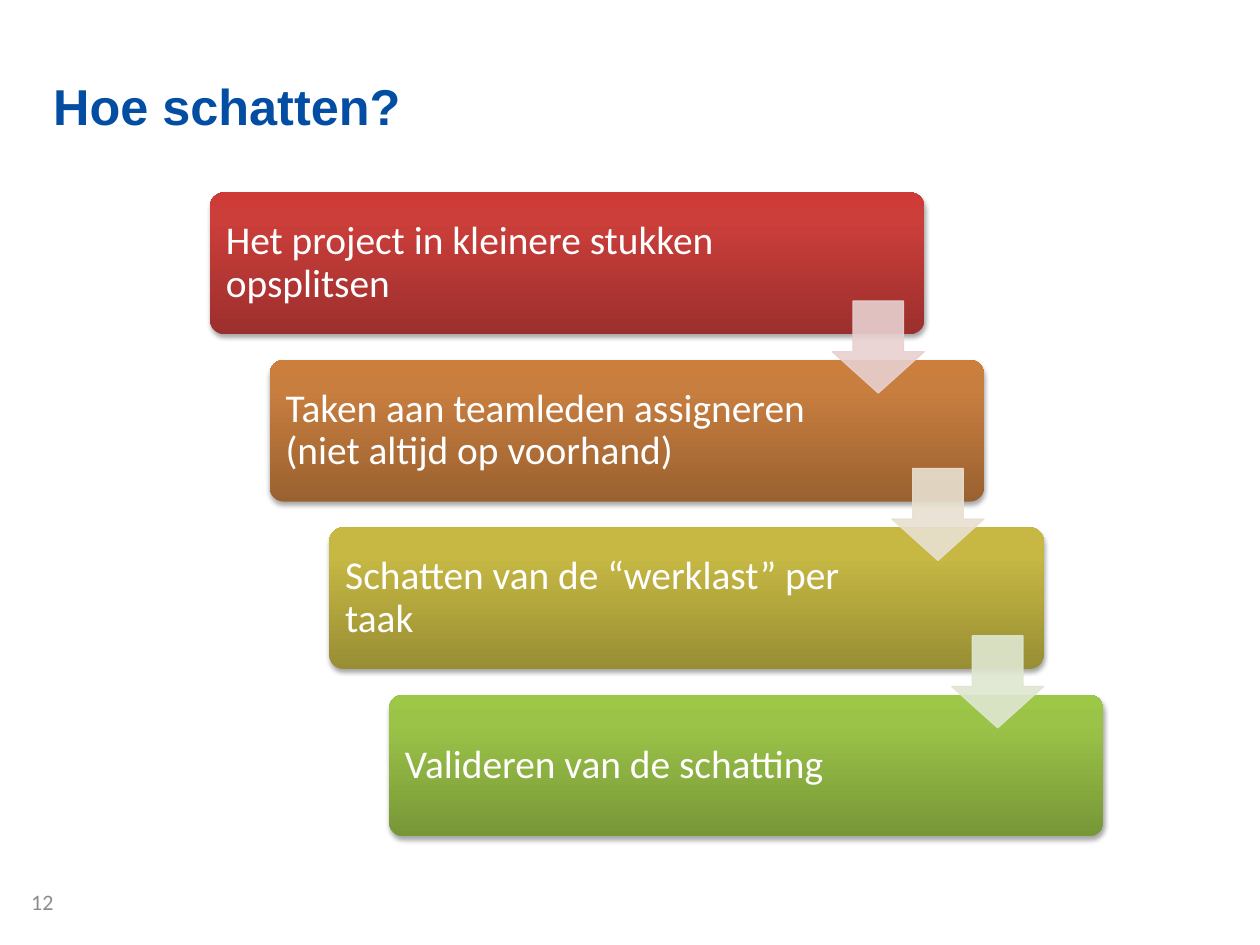
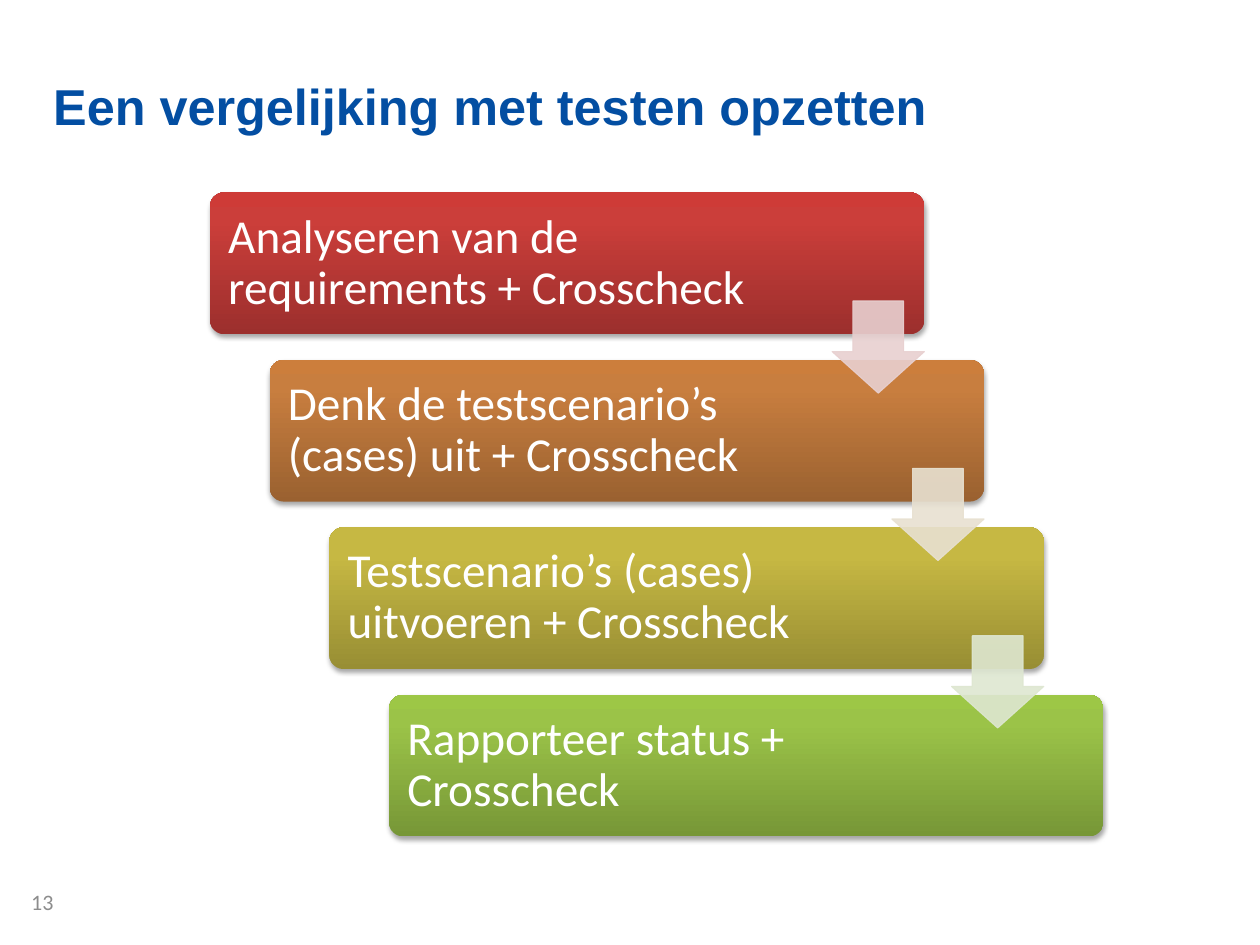
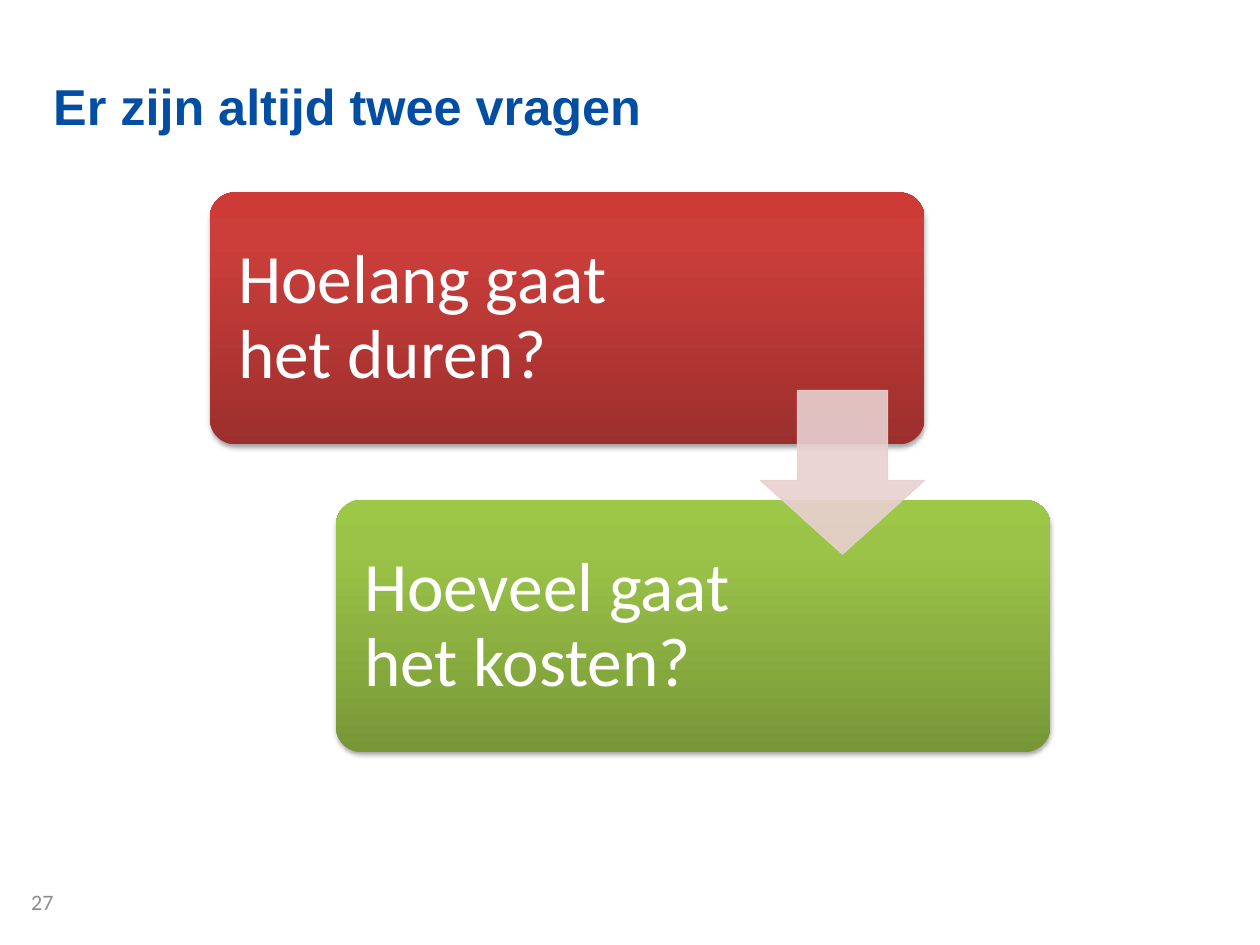
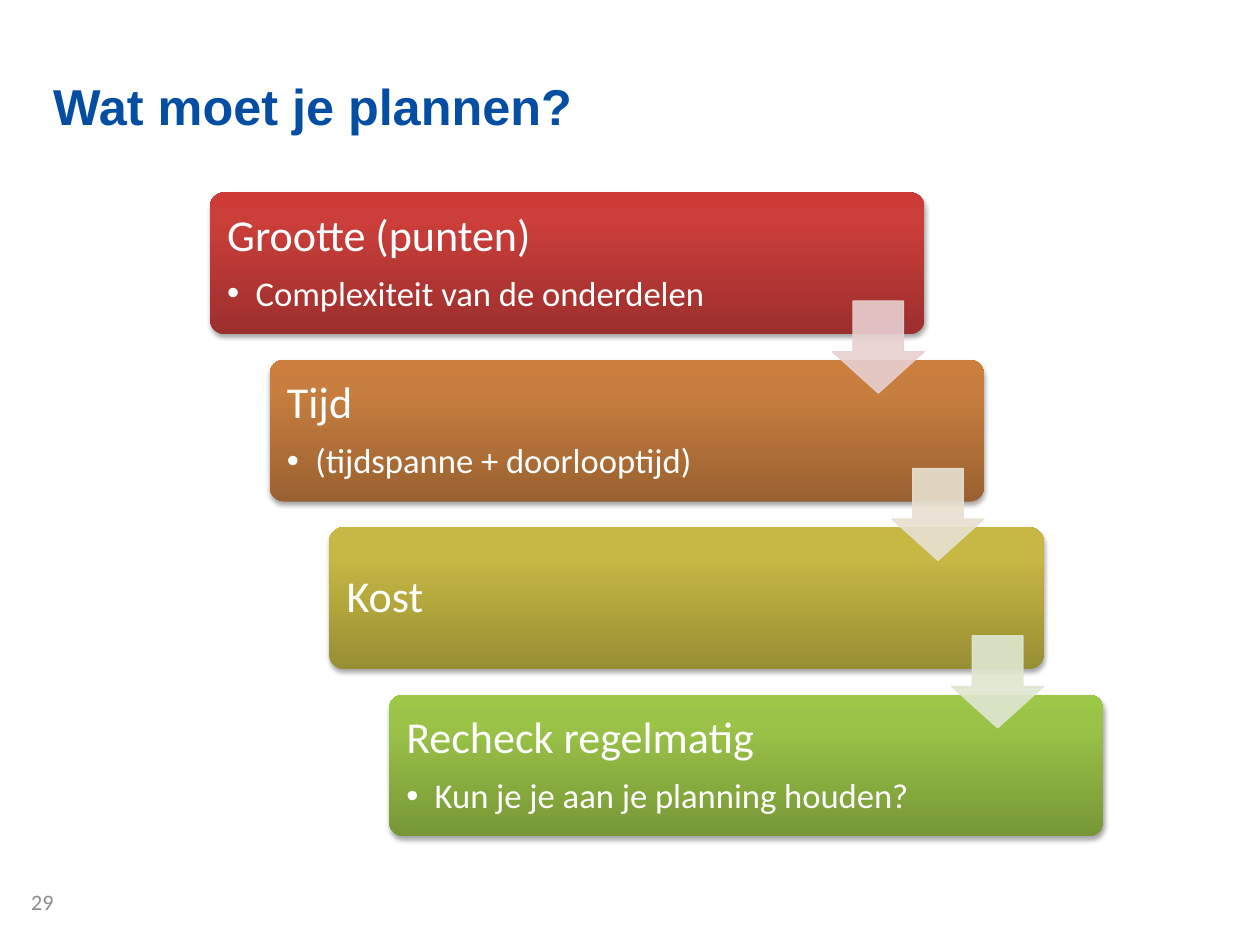
from itertools import count

from lxml.etree import SubElement
from pptx import Presentation
from pptx.dml.color import RGBColor
from pptx.enum.shapes import MSO_SHAPE as Shape
from pptx.enum.text import MSO_ANCHOR as Anchor, MSO_AUTO_SIZE as AutoSize, PP_ALIGN as Align
from pptx.oxml.ns import qn
from pptx.util import Pt

# Colours
WHITE = RGBColor(0xFF, 0xFF, 0xFF)
BLACK = RGBColor(0x00, 0x00, 0x00)
BLUE = RGBColor(0x03, 0x4E, 0xA2)
GREY = RGBColor(0x8C, 0x8C, 0x8C)

# Box gradients, bottom to top
RED = (RGBColor(0x9C, 0x2F, 0x2D), RGBColor(0xCB, 0x3E, 0x3A), RGBColor(0xCE, 0x3B, 0x37))
ORANGE = (RGBColor(0x9A, 0x61, 0x30), RGBColor(0xC8, 0x7E, 0x3F), RGBColor(0xCC, 0x7E, 0x3C))
YELLOW = (RGBColor(0x98, 0x8E, 0x34), RGBColor(0xC6, 0xB8, 0x43), RGBColor(0xC9, 0xBB, 0x41))
GREEN = (RGBColor(0x77, 0x97, 0x37), RGBColor(0x9B, 0xC3, 0x48), RGBColor(0x9D, 0xC7, 0x46))
GRADIENT_STOPS = (0, 80, 100)

PALE_RED = RGBColor(0xE8, 0xD0, 0xD0)
PALE_YELLOW = RGBColor(0xE8, 0xE1, 0xD1)
PALE_GREEN = RGBColor(0xDE, 0xE7, 0xD1)
ARROW_COLORS = (PALE_RED, PALE_YELLOW, PALE_GREEN)

# Staircase of boxes, in points
STAIR_LEFT, STAIR_TOP, BOX_WIDTH = 133.3, 122.2, 453.6
FOUR_STEPS = {"height": 90, "across": 37.9, "down": 106.3,
              "gradients": (RED, ORANGE, YELLOW, GREEN)}
TWO_STEPS = {"height": 160, "across": 80, "down": 195.4,
             "gradients": (RED, GREEN)}


def percent(value):
    return str(value * 1000)


def add_color(parent, color, opacity=100):
    node = SubElement(parent, qn("a:srgbClr"), val=str(color))
    if opacity < 100:
        SubElement(node, qn("a:alpha"), val=percent(opacity))


class StairDeck:
    """Holds the shared style and the slide being built."""

    title_font, body_font = "Arial", "Calibri"

    def __init__(self):
        self.deck = Presentation()
        self.deck.slide_width, self.deck.slide_height = Pt(800), Pt(600)
        self.page = None

    def style(self, para, size, color, font=body_font, bold=False):
        for run in para.runs:
            run.font.name, run.font.size, run.font.bold = font, Pt(size), bold
            run.font.color.rgb = color

    def frame(self, shape, margin, anchor):
        frame = shape.text_frame
        frame.word_wrap, frame.auto_size = True, AutoSize.NONE
        frame.vertical_anchor = anchor
        frame.margin_left = frame.margin_right = Pt(margin)
        frame.margin_top = frame.margin_bottom = Pt(margin)
        return frame

    def add_page(self, title, number):
        self.page = self.deck.slides.add_slide(self.deck.slide_layouts[5])
        # Title
        box = self.page.shapes.title
        box.left, box.top, box.width, box.height = Pt(33.8), Pt(44.6), Pt(732), Pt(57)
        frame = self.frame(box, 0, Anchor.TOP)
        frame.margin_top = Pt(3)
        frame.text = title
        frame.paragraphs[0].alignment = Align.LEFT
        self.style(frame.paragraphs[0], 32, BLUE, self.title_font, True)
        # Page number
        box = self.page.shapes.add_textbox(Pt(0), Pt(564), Pt(34), Pt(14.4))
        frame = self.frame(box, 0, Anchor.TOP)
        frame.text = str(number)
        frame.paragraphs[0].alignment = Align.RIGHT
        self.style(frame.paragraphs[0], 14, GREY)

    def add_box(self, left, top, height, gradient, lines, size):
        box = self.page.shapes.add_shape(
            Shape.ROUNDED_RECTANGLE, Pt(left), Pt(top), Pt(BOX_WIDTH), Pt(height))
        box.adjustments[0] = 0.1
        box.line.fill.background()
        # Three-stop gradient
        box.fill.gradient()
        box.fill.gradient_angle = 90
        properties = box._element.spPr
        stops = properties.find(".//" + qn("a:gsLst"))
        stops.clear()
        for position, color in zip(GRADIENT_STOPS, gradient):
            add_color(SubElement(stops, qn("a:gs"), pos=percent(position)), color)
        # Soft shadow below
        box.shadow.inherit = False
        shadow = SubElement(properties.find(qn("a:effectLst")), qn("a:outerShdw"),
                            blurRad=str(Pt(3.1)), dist=str(Pt(1.8)), dir="5400000",
                            rotWithShape="0")
        add_color(shadow, BLACK, 35)
        # Text, kept clear of the arrow
        margin = 0.3 * size
        frame = self.frame(box, margin, Anchor.MIDDLE)
        frame.margin_right = Pt(margin + 1.07 * height)
        frame.text = "\n".join(lines)
        heading, *details = frame.paragraphs
        for para in frame.paragraphs:
            para.alignment, para.line_spacing = Align.LEFT, 0.9
        self.style(heading, size, WHITE)
        if details:
            heading.space_after = Pt(0.35 * size)
        for para in details:
            self.add_bullet(para)
            self.style(para, 22, WHITE)

    def add_bullet(self, para):
        para.level = 1
        properties = para._p.get_or_add_pPr()
        properties.set("marL", str(Pt(18)))
        properties.set("indent", str(-Pt(18)))
        SubElement(properties, qn("a:buFont"), typeface="Arial")
        SubElement(properties, qn("a:buChar"), char="•")

    def add_arrow(self, left, top, side, color):
        arrow = self.page.shapes.add_shape(
            Shape.DOWN_ARROW, Pt(left), Pt(top), Pt(side), Pt(side))
        arrow.adjustments[0], arrow.adjustments[1] = 0.55, 0.45
        arrow.shadow.inherit = False
        arrow.fill.solid()
        arrow.fill.fore_color.rgb = color
        arrow.line.color.rgb = color
        arrow.line.width = Pt(0.75)
        for node in arrow._element.spPr.iter(qn("a:srgbClr")):
            SubElement(node, qn("a:alpha"), val=percent(90))

    def add_stairs(self, stairs, size, steps):
        height, across, down = stairs["height"], stairs["across"], stairs["down"]
        for index, gradient, lines in zip(count(), stairs["gradients"], steps):
            self.add_box(STAIR_LEFT + index * across, STAIR_TOP + index * down,
                         height, gradient, lines, size)
        # Each arrow is centred on a gap and flush with the upper box
        side = 0.65 * height
        for index, color in zip(range(len(steps) - 1), ARROW_COLORS):
            right = STAIR_LEFT + BOX_WIDTH + index * across
            middle = STAIR_TOP + index * down + (height + down) / 2
            self.add_arrow(right - side, middle - side / 2, side, color)


# Title, page number, staircase, text size, lines of each step
PAGES = (
    ("Hoe schatten?", 12, FOUR_STEPS, 25, (
        ["Het project in kleinere stukken opsplitsen"],
        ["Taken aan teamleden assigneren (niet altijd op voorhand)"],
        ["Schatten van de “werklast” per taak"],
        ["Valideren van de schatting"])),
    ("Een vergelijking met testen opzetten", 13, FOUR_STEPS, 30, (
        ["Analyseren van de requirements + Crosscheck"],
        ["Denk de testscenario’s (cases) uit + Crosscheck"],
        ["Testscenario’s (cases) uitvoeren + Crosscheck"],
        ["Rapporteer status + Crosscheck"])),
    ("Er zijn altijd twee vragen", 27, TWO_STEPS, 44, (
        ["Hoelang gaat het duren?"],
        ["Hoeveel gaat het kosten?"])),
    ("Wat moet je plannen?", 29, FOUR_STEPS, 28, (
        ["Grootte (punten)", "Complexiteit van de onderdelen"],
        ["Tijd", "(tijdspanne + doorlooptijd)"],
        ["Kost"],
        ["Recheck regelmatig", "Kun je je aan je planning houden?"])),
)


def main():
    builder = StairDeck()
    for title, number, stairs, size, steps in PAGES:
        builder.add_page(title, number)
        builder.add_stairs(stairs, size, steps)
    builder.deck.save("out.pptx")


if __name__ == "__main__":
    main()
